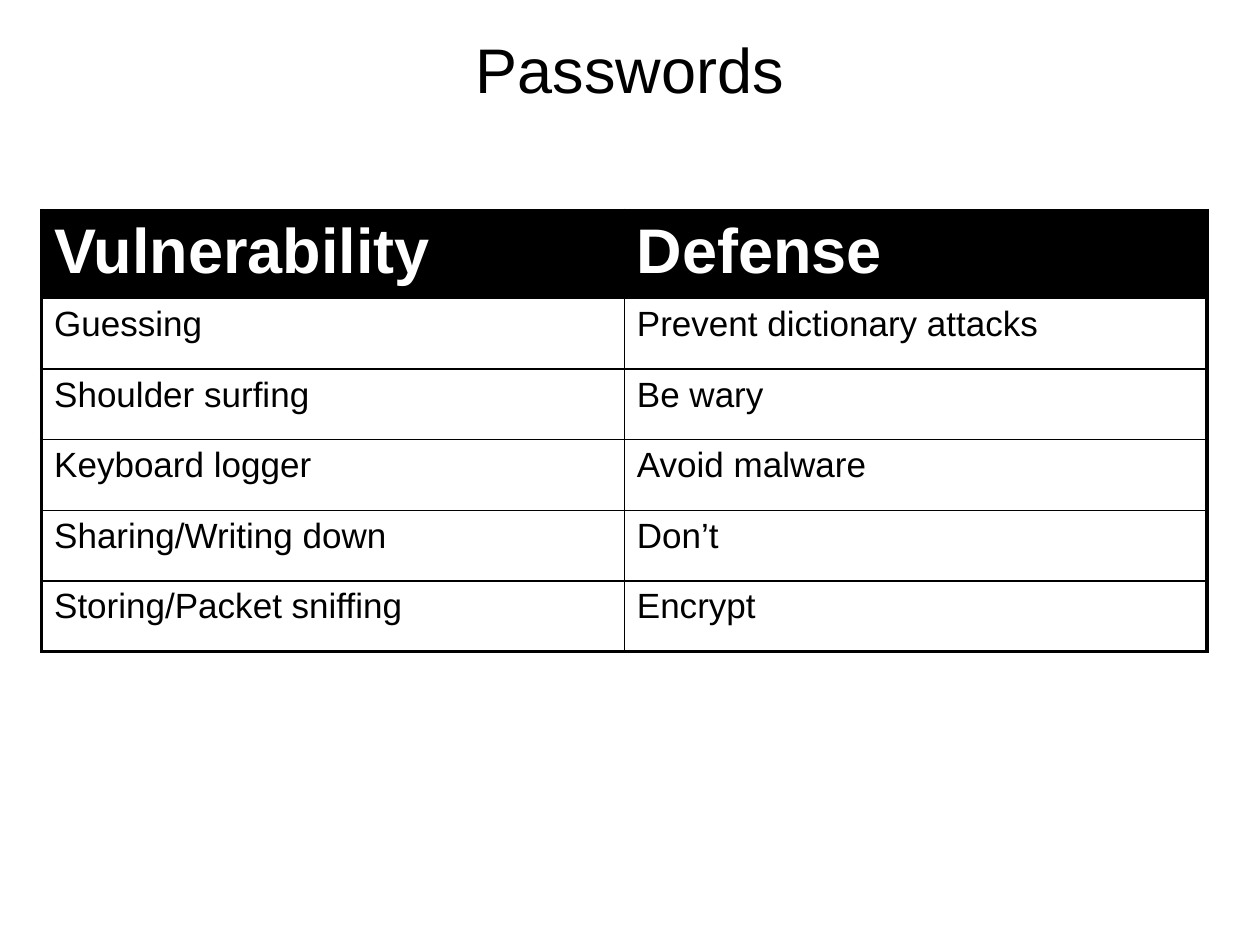
import pptx
import pptx.dml.color
import pptx.enum.text
import pptx.oxml
import pptx.oxml.ns
import pptx.util

INK = "000000"
PAPER = "FFFFFF"
THIN, THICK = 1, 2.25

ROWS = [
    ("Vulnerability", "Defense"),
    ("Guessing", "Prevent dictionary attacks"),
    ("Shoulder surfing", "Be wary"),
    ("Keyboard logger", "Avoid malware"),
    ("Sharing/Writing down", "Don’t"),
    ("Storing/Packet sniffing", "Encrypt"),
]


def colour(hex_text):
    return pptx.dml.color.RGBColor.from_string(hex_text)


class SlideBuilder:
    """Holds the style and the current slide; lengths are in inches."""

    font_name = "Arial"
    large, normal = 36, 20

    def __init__(self, deck):
        self.page = deck.slides.add_slide(deck.slide_layouts[5])
        self.page.background.fill.solid()
        self.page.background.fill.fore_color.rgb = colour(PAPER)

    def style(self, para, size, hex_text, bold=False):
        para.font.name = self.font_name
        para.font.size = pptx.util.Pt(size)
        para.font.bold = bold
        para.font.color.rgb = colour(hex_text)

    def title(self, text, left, top, width, height):
        box = self.page.shapes.title
        box.left, box.top, box.width, box.height = map(
            pptx.util.Inches, (left, top, width, height))
        box.text_frame.text = text
        box.text_frame.vertical_anchor = pptx.enum.text.MSO_ANCHOR.MIDDLE
        para = box.text_frame.paragraphs[0]
        para.alignment = pptx.enum.text.PP_ALIGN.CENTER
        self.style(para, self.large, INK)

    def border(self, cell, side, width):
        line = pptx.oxml.parse_xml(
            f'<a:ln{side} {pptx.oxml.ns.nsdecls("a")} w="{pptx.util.Pt(width)}">'
            f'<a:solidFill><a:srgbClr val="{INK}"/></a:solidFill></a:ln{side}>')
        cell._tc.get_or_add_tcPr().append(line)

    def table(self, rows, left, top, width, header_height, row_height):
        row_count, column_count = len(rows), len(rows[0])
        height = header_height + row_height * (row_count - 1)
        table = self.page.shapes.add_table(
            row_count, column_count,
            *map(pptx.util.Inches, (left, top, width, height))).table
        table.first_row = table.horz_banding = False
        for r, texts in enumerate(rows):
            header = r == 0
            table.rows[r].height = pptx.util.Inches(
                header_height if header else row_height)
            for c, text in enumerate(texts):
                cell = table.cell(r, c)
                cell.text = text
                self.style(cell.text_frame.paragraphs[0],
                           self.large if header else self.normal,
                           PAPER if header else INK, header)
                # Thick lines run round the outside only
                outer = {"L": c == 0, "R": c == column_count - 1,
                         "T": header, "B": r == row_count - 1}
                for side, is_outer in outer.items():
                    self.border(cell, side, THICK if is_outer else THIN)
                if header:
                    cell.fill.solid()
                    cell.fill.fore_color.rgb = colour(INK)
                else:
                    cell.fill.background()


def main():
    deck = pptx.Presentation()
    deck.slide_width = pptx.util.Inches(10)
    deck.slide_height = pptx.util.Inches(7.5)
    builder = SlideBuilder(deck)

    # Heading
    builder.title("Passwords", 0.5, 0.17, 9, 0.75)

    # Weaknesses and their remedies
    builder.table(ROWS, left=0.33, top=1.67, width=9.25,
                  header_height=0.7, row_height=0.56)

    deck.save("out.pptx")


if __name__ == "__main__":
    main()
